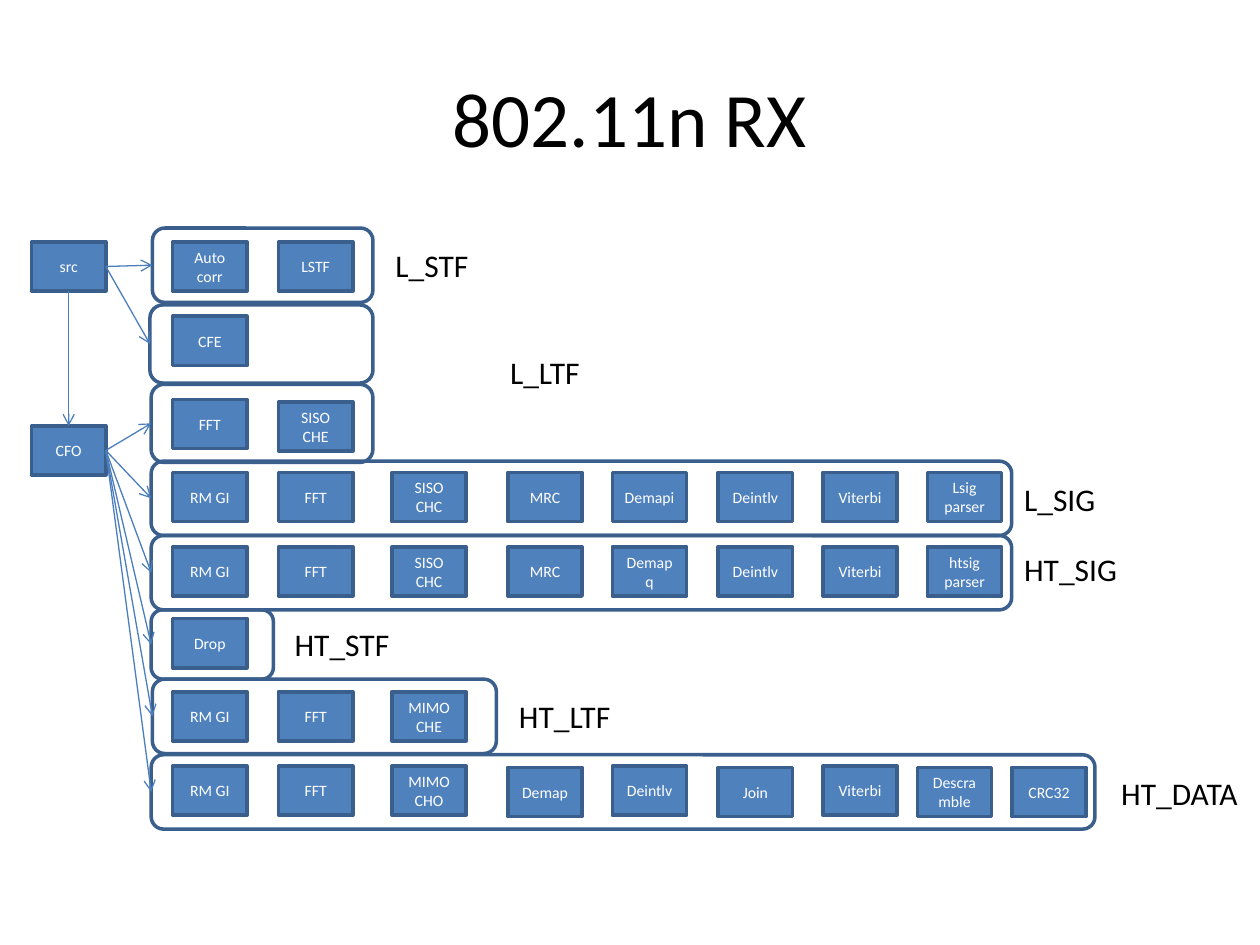
import pptx
import pptx.dml.color
import pptx.enum.shapes
import pptx.enum.text
import pptx.oxml
import pptx.oxml.ns
import pptx.util
from dataclasses import dataclass


@dataclass(frozen=True)
class Theme:
    font: str = "Calibri"
    fill: str = "4F81BD"
    border: str = "3A5F8C"
    arrow: str = "4B7EBC"
    dark: str = "000000"
    light: str = "FFFFFF"
    title_size: int = 44
    label_size: int = 18
    block_size: int = 9
    border_width: float = 2
    arrow_width: float = 0.75


theme = Theme()
rgb = pptx.dml.color.RGBColor.from_string
Pt = pptx.util.Pt
SHAPE = pptx.enum.shapes.MSO_SHAPE
ALIGN = pptx.enum.text.PP_ALIGN
ANCHOR = pptx.enum.text.MSO_ANCHOR

prs = pptx.Presentation()
prs.slide_width = pptx.util.Inches(10)
prs.slide_height = pptx.util.Inches(7.5)
s = prs.slides.add_slide(prs.slide_layouts[6])

# The slide is a grid of 1000 columns by 750 rows of square cells.
CELL = prs.slide_width // 1000
BLOCK_W, BLOCK_H, LABEL_H = 59, 39, 40


def add_box(kind, left, top, width, height, fill=None):
    """Add a bordered shape, placed in grid cells; without a fill it is an outline."""
    sp = s.shapes.add_shape(kind, *(CELL * n for n in (left, top, width, height)))
    sp.shadow.inherit = False
    if fill:
        sp.fill.solid()
        sp.fill.fore_color.rgb = rgb(fill)
    else:
        sp.fill.background()
    sp.line.color.rgb = rgb(theme.border)
    sp.line.width = Pt(theme.border_width)
    return sp


def write(sp, text, size, color, align):
    tf = sp.text_frame
    tf.text = text
    for p in tf.paragraphs:
        p.alignment = align
        p.font.name = theme.font
        p.font.size = Pt(size)
        p.font.color.rgb = rgb(color)
    return tf


title = s.shapes.add_textbox(50 * CELL, 30 * CELL, 900 * CELL, 125 * CELL)
tf = write(title, "802.11n RX", theme.title_size, theme.dark, ALIGN.CENTER)
tf.word_wrap = True
tf.vertical_anchor = ANCHOR.MIDDLE

columns = [137, 221, 311, 403, 486, 570, 653, 736]
data_columns = columns[:7] + [728, 803]
nudges = {"SISO\nCHE": 2, "Demap": 1, "Join": 1, "Descramble": 1, "CRC32": 1}

# source, frame (left, top, width, height), block top, label (text, left, top, width), blocks
stages = [
    ("src", (121, 181, 175, 59), 192, ("L_STF", 304, 190, 80), ["Auto corr", "LSTF"]),
    ("src", (119, 242, 177, 62), 251, ("L_LTF", 395, 275, 77), ["CFE"]),
    ("CFO", (120, 305, 176, 62), 317, None, ["FFT", "SISO\nCHE"]),
    ("CFO", (120, 366, 683, 59), 375, ("L_SIG", 803, 376, 78),
     ["RM GI", "FFT", "SISO\nCHC", "MRC", "Demapi", "Deintlv", "Viterbi", "Lsig\nparser"]),
    ("CFO", (120, 425, 683, 59), 434, ("HT_SIG", 803, 432, 96),
     ["RM GI", "FFT", "SISO\nCHC", "MRC", "Demapq", "Deintlv", "Viterbi", "htsig\nparser"]),
    ("CFO", (120, 484, 97, 55), 491, ("HT_STF", 224, 491, 97), ["Drop"]),
    ("CFO", (121, 539, 273, 59), 549, ("HT_LTF", 402, 548, 95),
     ["RM GI", "FFT", "MIMO\nCHE"]),
    ("CFO", (120, 599, 749, 59), 608, ("HT_DATA", 880, 609, 115),
     ["RM GI", "FFT", "MIMO\nCHO", "Demap", "Deintlv", "Join", "Viterbi", "Descramble", "CRC32"]),
]

blocks = [("src", 25, 192), ("CFO", 25, 338)]
for source, frame, block_top, label, names in stages:
    lefts = data_columns if len(names) > len(columns) else columns
    blocks += [(name, left, block_top + nudges.get(name, 0)) for name, left in zip(names, lefts)]

sources = {}
for name, left, top in blocks:
    sp = add_box(SHAPE.RECTANGLE, left, top, BLOCK_W, BLOCK_H, theme.fill)
    tf = write(sp, name, theme.block_size, theme.light, ALIGN.CENTER)
    tf.vertical_anchor = ANCHOR.MIDDLE
    if name in ("src", "CFO"):
        sources[name] = sp

links = [(sources["src"], 2, sources["CFO"], 0)]
for source, frame, block_top, label, names in stages:
    links.append((sources[source], 3, add_box(SHAPE.ROUNDED_RECTANGLE, *frame), 1))
    if label:
        text, left, top, width = label
        sp = s.shapes.add_textbox(left * CELL, top * CELL, width * CELL, LABEL_H * CELL)
        tf = write(sp, text, theme.label_size, theme.dark, ALIGN.LEFT)
        tf.word_wrap = False
        tf.auto_size = pptx.enum.text.MSO_AUTO_SIZE.SHAPE_TO_FIT_TEXT

ns = pptx.oxml.ns.nsdecls("a")
for start, start_side, end, end_side in links:
    line = s.shapes.add_connector(pptx.enum.shapes.MSO_CONNECTOR.STRAIGHT, 0, 0, 0, 0)
    line.begin_connect(start, start_side)
    line.end_connect(end, end_side)
    line.line.color.rgb = rgb(theme.arrow)
    line.line.width = Pt(theme.arrow_width)
    properties = line._element.spPr
    outline = properties.find(pptx.oxml.ns.qn("a:ln"))
    outline.append(pptx.oxml.parse_xml(f'<a:tailEnd {ns} type="arrow"/>'))
    properties.append(pptx.oxml.parse_xml(f"<a:effectLst {ns}/>"))

prs.save("out.pptx")
